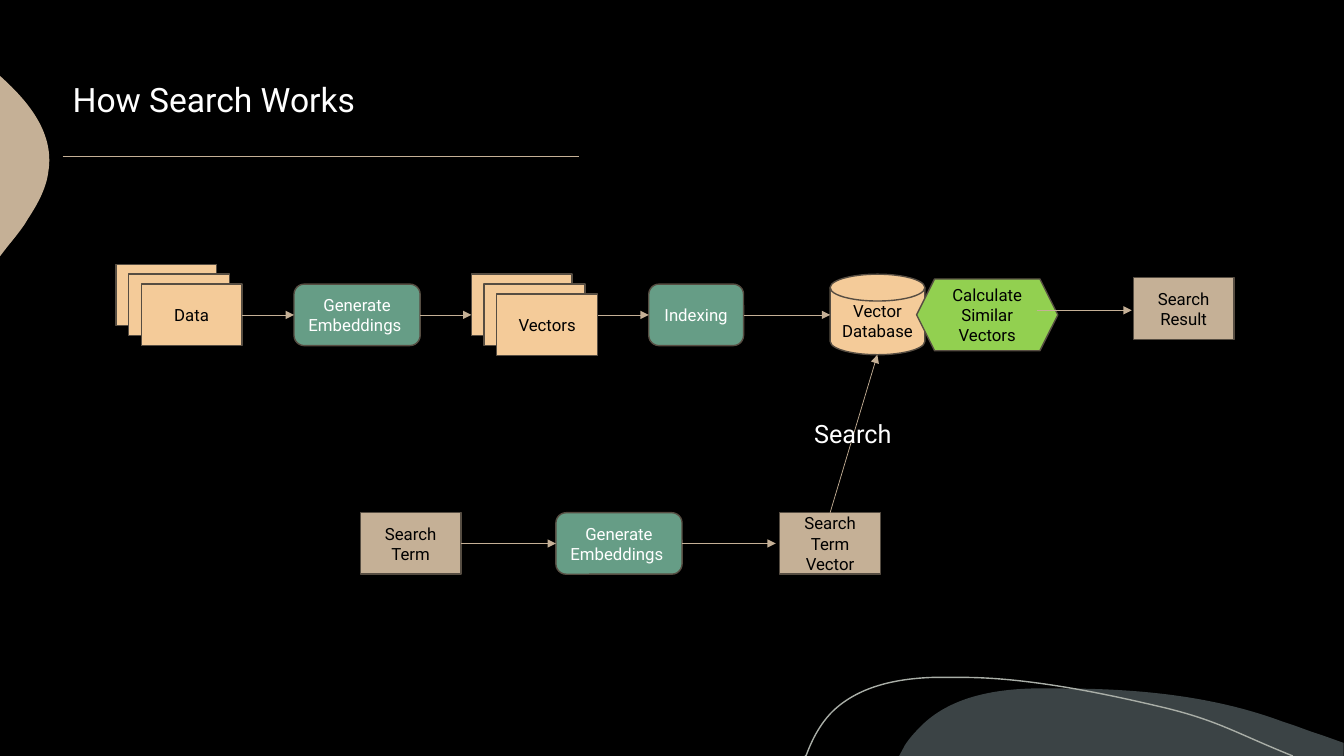
from lxml import etree
from pptx import Presentation
from pptx.dml.color import RGBColor
from pptx.enum import shapes, text
from pptx.oxml.ns import qn
from pptx.util import Cm, Pt

BLACK, WHITE = "000000", "FFFFFF"
TAN, PEACH, GREEN, LIME = "C5B096", "F4CB99", "669D86", "92D050"
SLATE, GREY, OUTLINE = "3B4345", "A9AEA7", "564D42"
KIND = shapes.MSO_SHAPE
TOP, LEFT, RIGHT = 0, 1, 3
CARD_W, ROW_H, EMBED_W = 2.54, 1.55, 3.18
STEP_X, STEP_Y = 0.32, 0.25


def rgb(value):
    return RGBColor.from_string(value)


def write(p, words, size, color):
    r = p.add_run()
    r.text = words
    r.font.name, r.font.size = "Roboto", Pt(size)
    r.font.color.rgb = rgb(color)


def node(s, kind, left, top, width, height, fill, words="", color=BLACK):
    """Add an outlined shape of the flow with centred text."""
    sp = s.shapes.add_shape(kind, Cm(left), Cm(top), Cm(width), Cm(height))
    sp.shadow.inherit = False
    sp.fill.solid()
    sp.fill.fore_color.rgb = rgb(fill)
    sp.line.color.rgb, sp.line.width = rgb(OUTLINE), Pt(1)
    if words:
        tf = sp.text_frame
        tf.word_wrap = True
        tf.vertical_anchor = text.MSO_ANCHOR.MIDDLE
        p = tf.paragraphs[0]
        p.alignment = text.PP_ALIGN.CENTER
        write(p, words, 12, color)
    return sp


def embeddings(s, left, top):
    return node(s, KIND.ROUNDED_RECTANGLE, left, top, EMBED_W, ROW_H, GREEN,
                "Generate Embeddings ", WHITE)


def card(s, left, top, fill, words=""):
    return node(s, KIND.RECTANGLE, left, top, CARD_W, ROW_H, fill, words)


def card_stack(s, left, top, words):
    """Add a group of three overlapping cards and return the front one."""
    group = s.shapes.add_group_shape()
    for i in range(2):
        card(group, left + i * STEP_X, top + i * STEP_Y, PEACH)
    return card(group, left + 2 * STEP_X, top + 2 * STEP_Y, PEACH, words)


def rule(s, x1, y1, x2, y2, arrow=True, start=None, end=None):
    """Add a thin line; start and end are (shape, side) pairs to join."""
    c = s.shapes.add_connector(shapes.MSO_CONNECTOR.STRAIGHT,
                               Cm(x1), Cm(y1), Cm(x2), Cm(y2))
    c.line.color.rgb, c.line.width = rgb(TAN), Pt(0.5)
    if arrow:
        etree.SubElement(c.line._get_or_add_ln(), qn("a:tailEnd"), type="triangle")
    etree.SubElement(c._element.spPr, qn("a:effectLst"))
    if start:
        c.begin_connect(*start)
    if end:
        c.end_connect(*end)


def label(s, left, top, width, height, words, size, wrap):
    box = s.shapes.add_textbox(Cm(left), Cm(top), Cm(width), Cm(height))
    box.text_frame.word_wrap = wrap
    write(box.text_frame.paragraphs[0], words, size, WHITE)


def outline(s, left, top, start, segments, fill=None, line=None):
    """Draw an outline; a segment is a line (x, y) or a Bézier curve of six numbers."""
    ends = [(Cm(left + seg[-2]), Cm(top + seg[-1])) for seg in segments]
    fb = s.shapes.build_freeform(Cm(left + start[0]), Cm(top + start[1]), scale=1.0)
    fb.add_line_segments(ends, close=bool(fill))
    sp = fb.convert_to_shape()
    for step, seg in zip(list(sp._element.iter(qn("a:lnTo"))), segments):
        if len(seg) == 6:
            curve = etree.Element(qn("a:cubicBezTo"))
            for x, y in zip(seg[::2], seg[1::2]):
                etree.SubElement(curve, qn("a:pt"), x=str(Cm(left + x) - sp.left),
                                 y=str(Cm(top + y) - sp.top))
            step.getparent().replace(step, curve)
    sp.shadow.inherit = False
    if fill:
        sp.fill.solid()
        sp.fill.fore_color.rgb = rgb(fill)
        sp.line.fill.background()
    else:
        sp.fill.background()
        sp.line.color.rgb, sp.line.width = rgb(line), Pt(1)


def decoration(s):
    outline(s, 22.66, 17.35, (4.11, 0), [
        (5.99, 0, 7.92, 0.18, 9.68, 0.84), (10.01, 0.94, 10.31, 1.07, 10.64, 1.17),
        (11.2, 1.37), (11.2, 1.7), (0, 1.7), (0.15, 1.42),
        (0.25, 1.27, 0.36, 1.14, 0.48, 1.02), (1.19, 0.25, 2.29, 0.03, 3.33, 0),
        (3.58, 0, 3.84, 0, 4.11, 0),
    ], fill=SLATE)
    outline(s, 0, 1.91, (0, 0), [
        (0.03, 0.03), (0.76, 0.69, 1.37, 1.47, 1.22, 2.41),
        (1.17, 2.84, 0.94, 3.25, 0.69, 3.63), (0.61, 3.78, 0.43, 4.01, 0.2, 4.29),
        (0, 4.55),
    ], fill=TAN)
    outline(s, 20.29, 17.07, (0, 1.98), [
        (0.03, 1.96), (0.18, 1.55, 0.38, 1.19, 0.64, 0.91),
        (1.3, 0.23, 2.29, 0.03, 3.23, 0), (3.96, 0),
        (5.66, 0, 7.65, 0.43, 9.04, 0.76), (10.41, 1.09, 10.85, 1.4, 12.29, 1.98),
    ], line=GREY)


def header(s, left, top, width):
    label(s, left, top, 12.32, 1.27, "How Search Works", 24, True)
    rule(s, left, top + 2.09, left + width, top + 2.09, arrow=False)


def indexing_row(s, left, top):
    """Draw the flow from data to search result."""
    box_top = top + 2 * STEP_Y
    mid = box_top + ROW_H / 2
    data = card_stack(s, left, top, "Data")
    embed = embeddings(s, left + 4.49, box_top)
    card_stack(s, left + 8.96, top + STEP_Y, "Vectors")
    index = node(s, KIND.ROUNDED_RECTANGLE, left + 13.43, box_top, 2.39, ROW_H,
                 GREEN, "Indexing", WHITE)
    node(s, KIND.FLOWCHART_MAGNETIC_DISK, left + 18, top + STEP_Y, 2.39, 2.03,
         PEACH, "Vector Database")
    node(s, KIND.HEXAGON, left + 20.18, top + 0.37, 3.56, 1.81,
         LIME, "Calculate Similar Vectors")
    card(s, left + 25.64, top + 0.34, TAN, "Search Result")
    rule(s, left + 3.18, mid, left + 4.49, mid, start=(data, RIGHT), end=(embed, LEFT))
    rule(s, left + 7.67, mid, left + 8.96, mid, start=(embed, RIGHT))
    rule(s, left + 12.14, mid, left + 13.43, mid, end=(index, LEFT))
    rule(s, left + 15.82, mid, left + 18, mid, start=(index, RIGHT))
    rule(s, left + 23.21, top + 1.16, left + 25.6, top + 1.16)


def query_row(s, left, top, target):
    """Draw the flow from search term to the database point given as target."""
    mid = top + ROW_H / 2
    term = card(s, left, top, TAN, "Search Term")
    embed = embeddings(s, left + 4.93, top)
    vector = card(s, left + 10.57, top, TAN, "Search Term Vector")
    rule(s, left + CARD_W, mid, left + 4.93, mid, start=(term, RIGHT), end=(embed, LEFT))
    rule(s, left + 8.11, mid, left + 10.47, mid, start=(embed, RIGHT))
    rule(s, left + 11.84, top, *target, start=(vector, TOP))
    label(s, left + 11.19, top - 2.51, 2.49, 1.02, "Search", 18, False)


def main():
    prs = Presentation()
    prs.slide_width, prs.slide_height = Cm(33.87), Cm(19.05)
    s = prs.slides.add_slide(prs.slide_layouts[6])
    s.background.fill.solid()
    s.background.fill.fore_color.rgb = rgb(BLACK)
    decoration(s)
    header(s, 1.58, 1.86, 13)
    indexing_row(s, 2.92, 6.66)
    query_row(s, 9.08, 12.92, target=(22.11, 8.94))
    prs.save("out.pptx")


if __name__ == "__main__":
    main()
